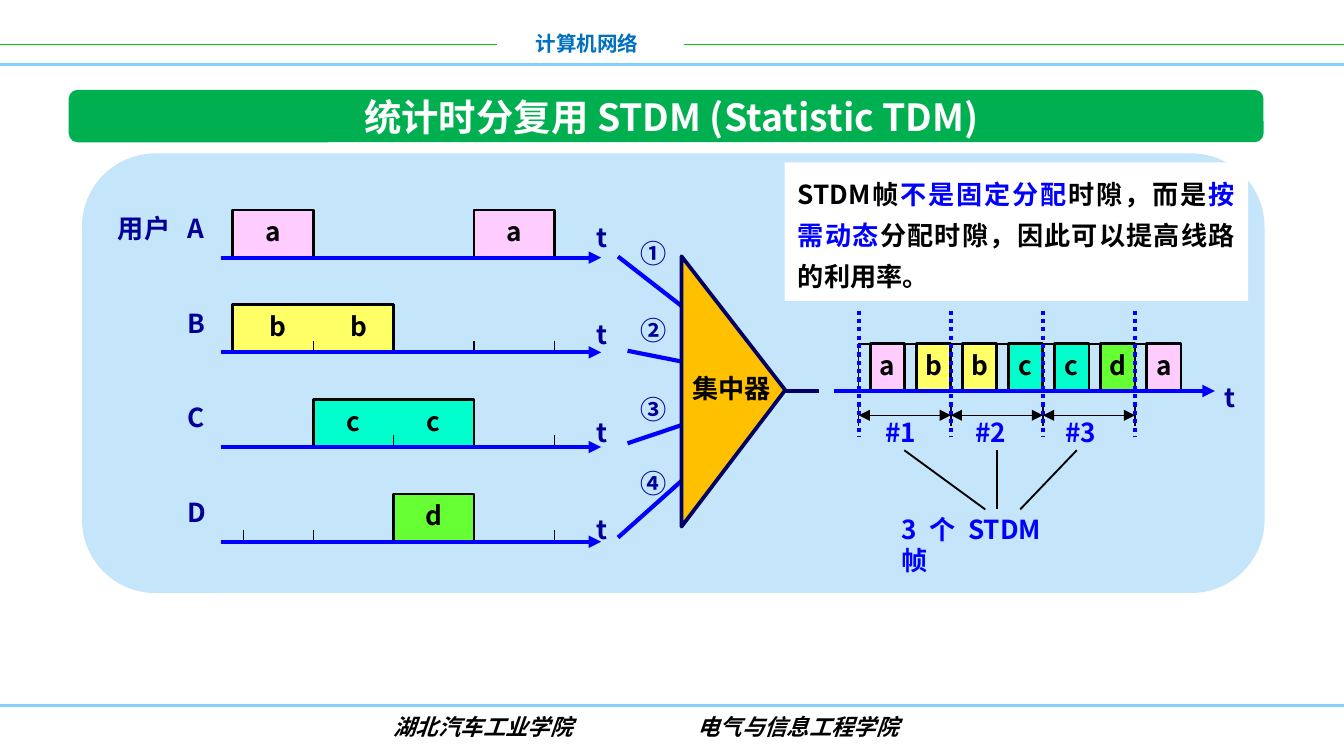
from lxml import etree
from pptx import Presentation
from pptx.dml.color import RGBColor
from pptx.enum.dml import MSO_LINE_DASH_STYLE as DASH
from pptx.enum.shapes import MSO_CONNECTOR as CONN, MSO_SHAPE as SHAPE
from pptx.enum.text import MSO_ANCHOR as ANCHOR, MSO_AUTO_SIZE as AUTO, PP_ALIGN as ALIGN
from pptx.oxml.ns import qn
from pptx.util import Cm, Pt

FONT = "Noto Sans CJK SC"
COLORS = {
    "black": "000000", "white": "FFFFFF", "navy": "000099", "blue": "0000FF",
    "edge": "000066", "head": "0070C0", "sky": "85D1F7", "lime": "00CC00",
    "banner": "00B050", "panel": "C5E5FB", "orange": "FFC000",
    "a": "FFCCFF", "b": "FFFF66", "c": "00FFCC", "d": "66FF33",
}


def rgb(name):
    return RGBColor.from_string(COLORS[name])


def style_run(r, color, size=14, font=FONT, italic=False):
    f = r.font
    f.name, f.size, f.bold, f.italic = font, Pt(size), True, italic
    f.color.rgb = rgb(color)
    etree.SubElement(r._r.get_or_add_rPr(), qn("a:ea"), typeface=FONT)


def add_label(s, text, x, y, w, color="navy", h=0.86, align=ALIGN.LEFT, **font):
    sp = s.shapes.add_textbox(Cm(x), Cm(y), Cm(w), Cm(h))
    tf = sp.text_frame
    tf.text = text
    tf.word_wrap = False
    tf.auto_size = AUTO.SHAPE_TO_FIT_TEXT
    p = tf.paragraphs[0]
    p.alignment = align
    for r in p.runs:
        style_run(r, color, **font)
    return sp


def add_line(s, x1, y1, x2, y2, color="black", width=0.75, head=False, tail=False, dash=None):
    cn = s.shapes.add_connector(CONN.STRAIGHT, Cm(x1), Cm(y1), Cm(x2), Cm(y2))
    cn.line.color.rgb = rgb(color)
    cn.line.width = Pt(width)
    if dash:
        cn.line.dash_style = dash
    ln = cn.line._get_or_add_ln()
    for tag, wanted in (("a:headEnd", head), ("a:tailEnd", tail)):
        if wanted:
            etree.SubElement(ln, qn(tag), type="triangle")
    etree.SubElement(cn._element.spPr, qn("a:effectLst"))


def add_box(s, kind, x, y, w, h, fill):
    sp = s.shapes.add_shape(kind, Cm(x), Cm(y), Cm(w), Cm(h))
    sp.shadow.inherit = False
    sp.fill.solid()
    sp.fill.fore_color.rgb = rgb(fill)
    sp.line.fill.background()
    return sp


def add_pulse(s, x, base, w, h, fill=None, width=1.5):
    """Block standing on a time axis, open at the bottom."""
    fb = s.shapes.build_freeform(Cm(x), Cm(base))
    fb.add_line_segments([(Cm(x), Cm(base - h)), (Cm(x + w), Cm(base - h)),
                          (Cm(x + w), Cm(base))], close=False)
    sp = fb.convert_to_shape()
    sp.shadow.inherit = False
    if fill:
        sp.fill.solid()
        sp.fill.fore_color.rgb = rgb(fill)
    else:
        sp.fill.background()
    sp.line.color.rgb = rgb("black")
    sp.line.width = Pt(width)


def add_letter(s, text, center, y):
    add_label(s, text, center - 0.42, y, 0.84, "black", align=ALIGN.CENTER)


def draw_header(s, x, y, w):
    add_line(s, x, y + 0.84, x + 9.4, y + 0.84, "lime", 1)
    add_line(s, x + 12.93, y + 0.84, x + w, y + 0.84, "lime", 1)
    add_line(s, x, y + 1.22, x + w, y + 1.22, "sky", 2)
    add_label(s, "计算机网络", x + 9.86, y + 0.46, 2.46, "head", 0.74, ALIGN.RIGHT, size=11)


def draw_footer(s, x, y, w):
    add_line(s, x, y, x + w, y, "sky", 1.5)
    sp = add_label(s, "湖北汽车工业学院\t电气与信息工程学院", x + 2.59, y + 0.02, 19.2, "black", 0.76,
                   size=12, font="Arial", italic=True)
    tf = sp.text_frame
    tf.word_wrap = True
    tf.margin_left = Cm(4.85)
    tabs = etree.SubElement(tf.paragraphs[0]._p.get_or_add_pPr(), qn("a:tabLst"))
    etree.SubElement(tabs, qn("a:tab"), pos=str(Cm(5.74)), algn="l")


def draw_title(s, x, y, w, h):
    banner = add_box(s, SHAPE.ROUNDED_RECTANGLE, x, y, w, h, "banner")
    title = s.shapes.title
    title.element.addprevious(banner.element)
    title.left, title.top, title.width, title.height = Cm(x + 2.18), Cm(y), Cm(18.42), Cm(h)
    tf = title.text_frame
    tf.text = "统计时分复用 STDM (Statistic TDM)"
    tf.vertical_anchor = ANCHOR.MIDDLE
    tf.auto_size = AUTO.NONE
    tf.paragraphs[0].alignment = ALIGN.CENTER
    style_run(tf.paragraphs[0].runs[0], "white", 20)


def draw_users(s, x, y):
    """Four time axes, one per user."""
    slot, pitch, x0 = 1.52, 1.79, x + 2.42
    # user, pulses (first slot, slot count), tick slots, letter shift
    rows = [("A", [(0, 1), (3, 1)], [], 0), ("B", [(0, 2)], [1, 3, 4], 0.1),
            ("C", [(1, 2)], [2, 4], 0), ("D", [(2, 1)], [0.13, 1, 4], 0)]
    add_label(s, "用户", x, y, 1.5)
    for i, (user, pulses, ticks, shift) in enumerate(rows):
        top = y + i * pitch
        base, letter = top + 0.98, user.lower()
        add_label(s, user, x + 1.32, top, 0.89)
        for first, count in pulses:
            add_pulse(s, x0 + first * slot, base, count * slot, 0.9, letter)
        for t in ticks:
            add_line(s, x0 + t * slot, base - 0.22, x0 + t * slot, base)
        add_line(s, x + 2.19, base, x + 9.38, base, "blue", 2.25, tail=True)
        for first, count in pulses:
            for k in range(first, first + count):
                add_letter(s, letter, x0 + (k + 0.5) * slot + shift, base - 0.92)
        add_label(s, "t", x + 9.04, y + 0.17 + i * 1.84, 0.71)


def draw_concentrator(s, x, y, w):
    # numbered inputs: number top, line start and end
    inputs = [("①", 0, 0, 0.48, 2.52, 2.44), ("②", 1.45, 0.18, 2.26, 2.59, 2.74),
              ("③", 2.95, 0.18, 4.01, 2.59, 3.2), ("④", 4.34, 0, 5.79, 2.59, 3.48)]
    for number, top, x1, y1, x2, y2 in inputs:
        add_line(s, x + x1, y + y1, x + x2, y + y2, "blue", 2.25, tail=True)
        add_label(s, number, x + 0.18, y + top, 1.02)
    # triangle turned to point right
    base, depth = 5.11, 1.96
    cx, cy = x + 2.18, y + 3.03
    sp = add_box(s, SHAPE.ISOSCELES_TRIANGLE, cx - base / 2, cy - depth / 2, base, depth, "orange")
    sp.adjustments[0] = 0.495
    sp.rotation = 90
    sp.line.color.rgb = rgb("edge")
    sp.line.width = Pt(2)
    add_label(s, "集中器", x + 1.15, y + 2.54, 2.01, "black")
    add_line(s, x + 3.15, y + 3.02, x + w, y + 3.02, "edge", 2.25)


def draw_frames(s, x, y):
    """Multiplexed output, two slots to a frame."""
    slot, gap, x0, base = 0.87, 0.22, x + 0.46, y + 1.52
    letters = "abbccda"
    for k, letter in enumerate(letters):
        left = x0 + k * slot
        add_pulse(s, left + gap, base, slot - gap, 0.89, letter)
        add_pulse(s, left, base, gap, 0.89, width=0.75)
    add_line(s, x, base, x + 7.19, base, "blue", 2.25, tail=True)
    add_label(s, "t", x + 7.12, y + 1.22, 0.71)
    # frame borders
    for k in range(4):
        edge = x0 + k * 2 * slot
        add_line(s, edge, y + 1.75, edge, y + 2.18)
        add_line(s, edge, y, edge, y + 2.39, "blue", 2.25, dash=DASH.ROUND_DOT)
    # frame spans, numbers and pointers
    for k, (start, end) in enumerate([(1.32, 2.85), (3.08, 3.08), (4.58, 3.51)]):
        left = x0 + k * 2 * slot
        add_line(s, left, y + 1.98, left + 2 * slot, y + 1.98, head=True, tail=True)
        add_label(s, f"#{k + 1}", x + 0.71 + k * 1.7, y + 1.88, 1.14, "blue")
        add_line(s, x + start, y + 2.64, x + end, y + 3.76, width=1)
    for k, letter in enumerate(letters):
        add_letter(s, letter, x0 + k * slot + (slot + gap) / 2, y + 0.61)
    tf = add_label(s, "3 个 STDM 帧", x + 1.02, y + 3.71, 3.78, "blue",
                   align=ALIGN.JUSTIFY).text_frame
    tf.word_wrap = True
    tf.margin_right = Cm(0.89)


def draw_note(s, x, y, w, h):
    tf = add_box(s, SHAPE.RECTANGLE, x, y, w, h, "white").text_frame
    tf.word_wrap = True
    tf.vertical_anchor = ANCHOR.TOP
    p = tf.paragraphs[0]
    p.alignment = ALIGN.JUSTIFY
    p.line_spacing = Pt(22)
    for text, color in [("STDM帧", "black"), ("不是固定分配", "blue"), ("时隙，而是", "black"),
                        ("按需动态", "blue"), ("分配时隙，因此可以提高线路的利用率。", "black")]:
        r = p.add_run()
        r.text = text
        style_run(r, color)


def main():
    prs = Presentation()
    prs.slide_width, prs.slide_height = Cm(25.4), Cm(14.29)
    s = prs.slides.add_slide(prs.slide_layouts[5])
    draw_header(s, 0, 0, 25.4)
    draw_footer(s, 0, 13.34, 25.4)
    draw_title(s, 1.3, 1.7, 22.58, 0.99)
    add_box(s, SHAPE.ROUNDED_RECTANGLE, 1.55, 2.9, 22.35, 8.31, "panel")
    draw_users(s, 1.98, 3.89)
    draw_frames(s, 15.77, 5.87)
    draw_note(s, 14.83, 3.07, 8.76, 2.62)
    draw_concentrator(s, 11.68, 4.37, 3.79)
    prs.save("out.pptx")


if __name__ == "__main__":
    main()
